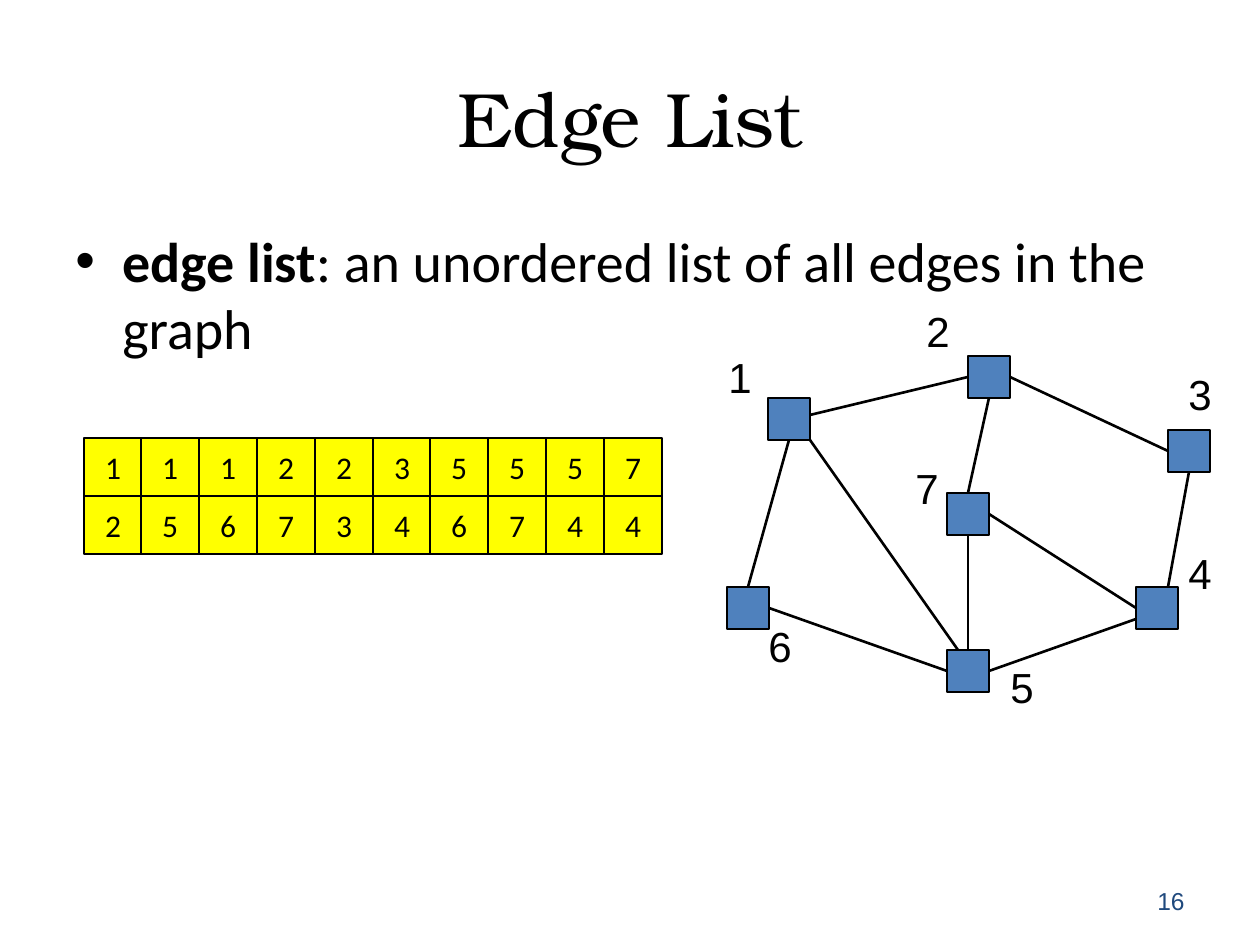
from dataclasses import dataclass

from lxml import etree
from pptx import Presentation
from pptx import util as u
from pptx.dml.color import RGBColor
from pptx.enum import shapes, text
from pptx.oxml.ns import qn


@dataclass(frozen=True)
class Theme:
    ink: str = "000000"
    cell: str = "FFFF00"
    node: str = "4F81BD"
    number: str = "1F497D"
    title_font: str = "TeX Gyre Bonum"
    body_font: str = "Calibri"
    label_font: str = "Arial"
    title_size: int = 44
    body_size: int = 32
    label_size: int = 24
    cell_size: int = 18
    number_size: int = 14


def px(length):
    return u.Emu(round(length * 914400 / 126))


NODE = 42
HALF = NODE // 2
TOP, LEFT, BOTTOM, RIGHT = (HALF, 0), (0, HALF), (HALF, NODE), (NODE, HALF)
SIDES = [TOP, LEFT, BOTTOM, RIGHT]


class SlideBuilder:
    def __init__(self, page, theme):
        self.page = page
        self.theme = theme
        self.shapes = page.shapes

    def start_group(self):
        self.shapes = self.page.shapes.add_group_shape().shapes

    def style(self, para, font, size, color, align):
        para.alignment = align
        for span in para.runs:
            span.font.name = font
            span.font.size = u.Pt(size)
            span.font.color.rgb = RGBColor.from_string(color)

    def text(self, area, words, font, size, color=Theme.ink,
             align=text.PP_ALIGN.LEFT, anchor=text.MSO_ANCHOR.TOP, wrap=True):
        box = self.shapes.add_textbox(*map(px, area))
        frame = box.text_frame
        frame.word_wrap = wrap
        frame.vertical_anchor = anchor
        frame.text = words
        self.style(frame.paragraphs[0], font, size, color, align)
        return box

    def bullet(self, area, term, meaning):
        box = self.text(area, term, self.theme.body_font, self.theme.body_size)
        para = box.text_frame.paragraphs[0]
        properties = para._p.get_or_add_pPr()
        properties.set("marL", str(px(47)))
        properties.set("indent", str(-px(47)))
        etree.SubElement(properties, qn("a:buFont")).set("typeface", "Arial")
        etree.SubElement(properties, qn("a:buChar")).set("char", "•")
        para.add_run().text = meaning
        self.style(para, self.theme.body_font, self.theme.body_size,
                   self.theme.ink, text.PP_ALIGN.LEFT)
        para.runs[0].font.bold = True

    def square(self, left, top, size, fill, weight):
        box = self.shapes.add_shape(
            shapes.MSO_SHAPE.RECTANGLE, px(left), px(top), px(size), px(size))
        box.shadow.inherit = False
        box.fill.solid()
        box.fill.fore_color.rgb = RGBColor.from_string(fill)
        box.line.color.rgb = RGBColor.from_string(self.theme.ink)
        box.line.width = u.Pt(weight)
        return box

    def cell(self, left, top, size, value):
        frame = self.square(left, top, size, self.theme.cell, 0.75).text_frame
        frame.word_wrap = False
        frame.vertical_anchor = text.MSO_ANCHOR.MIDDLE
        frame.text = str(value)
        self.style(frame.paragraphs[0], self.theme.body_font,
                   self.theme.cell_size, self.theme.ink, text.PP_ALIGN.CENTER)

    def edge(self, start, start_offset, end, end_offset):
        line = self.shapes.add_connector(
            shapes.MSO_CONNECTOR.STRAIGHT,
            start.left + px(start_offset[0]), start.top + px(start_offset[1]),
            end.left + px(end_offset[0]), end.top + px(end_offset[1]))
        if start_offset in SIDES:
            line.begin_connect(start, SIDES.index(start_offset))
        if end_offset in SIDES:
            line.end_connect(end, SIDES.index(end_offset))
        line.line.color.rgb = RGBColor.from_string(self.theme.ink)
        line.line.width = u.Pt(1.5)
        etree.SubElement(line._element.spPr, qn("a:effectLst"))

    def label(self, left, top, name):
        box = self.text((left, top, 49, 63), str(name), self.theme.label_font,
                        self.theme.label_size, wrap=False)
        box.text_frame.auto_size = text.MSO_AUTO_SIZE.SHAPE_TO_FIT_TEXT


EDGE_LIST = [(1, 2), (1, 5), (1, 6), (2, 7), (2, 3),
             (3, 4), (5, 6), (5, 7), (5, 4), (7, 4)]

NODES = {1: (768, 398), 2: (968, 356), 3: (1168, 430), 4: (1136, 587),
         5: (947, 650), 6: (727, 587), 7: (947, 493)}

LABELS = {1: (716, 345), 2: (914, 299), 3: (1176, 362), 4: (1176, 541),
          5: (998, 655), 6: (756, 614), 7: (903, 456)}

EDGES = [(1, (NODE, 17), 2, LEFT), (2, BOTTOM, 7, TOP), (2, RIGHT, 3, LEFT),
         (7, RIGHT, 4, LEFT), (3, BOTTOM, 4, (32, 0)), (7, BOTTOM, 5, TOP),
         (5, RIGHT, 4, (0, 32)), (6, RIGHT, 5, LEFT), (1, BOTTOM, 6, TOP),
         (1, (NODE, NODE), 5, (11, 0))]


def main():
    theme = Theme()
    deck = Presentation()
    deck.slide_width, deck.slide_height = px(1260), px(945)
    builder = SlideBuilder(deck.slides.add_slide(deck.slide_layouts[6]), theme)

    builder.text((63, 38, 1134, 158), "Edge List", theme.title_font,
                 theme.title_size, align=text.PP_ALIGN.CENTER,
                 anchor=text.MSO_ANCHOR.MIDDLE)
    builder.text((903, 876, 294, 50), "16", theme.label_font,
                 theme.number_size, theme.number, text.PP_ALIGN.RIGHT,
                 text.MSO_ANCHOR.MIDDLE)
    builder.bullet((63, 220, 1134, 628), "edge list",
                   ": an unordered list of all edges in the graph")

    builder.start_group()
    for column, pair in enumerate(EDGE_LIST):
        for row, value in enumerate(pair):
            builder.cell(84 + 578 * column // 10, 438 + 58 * row, 58, value)

    builder.start_group()
    nodes = {name: builder.square(*corner, NODE, theme.node, 1.5)
             for name, corner in NODES.items()}
    for start, start_offset, end, end_offset in EDGES:
        builder.edge(nodes[start], start_offset, nodes[end], end_offset)
    for name, corner in LABELS.items():
        builder.label(*corner, name)

    deck.save("out.pptx")


if __name__ == "__main__":
    main()
